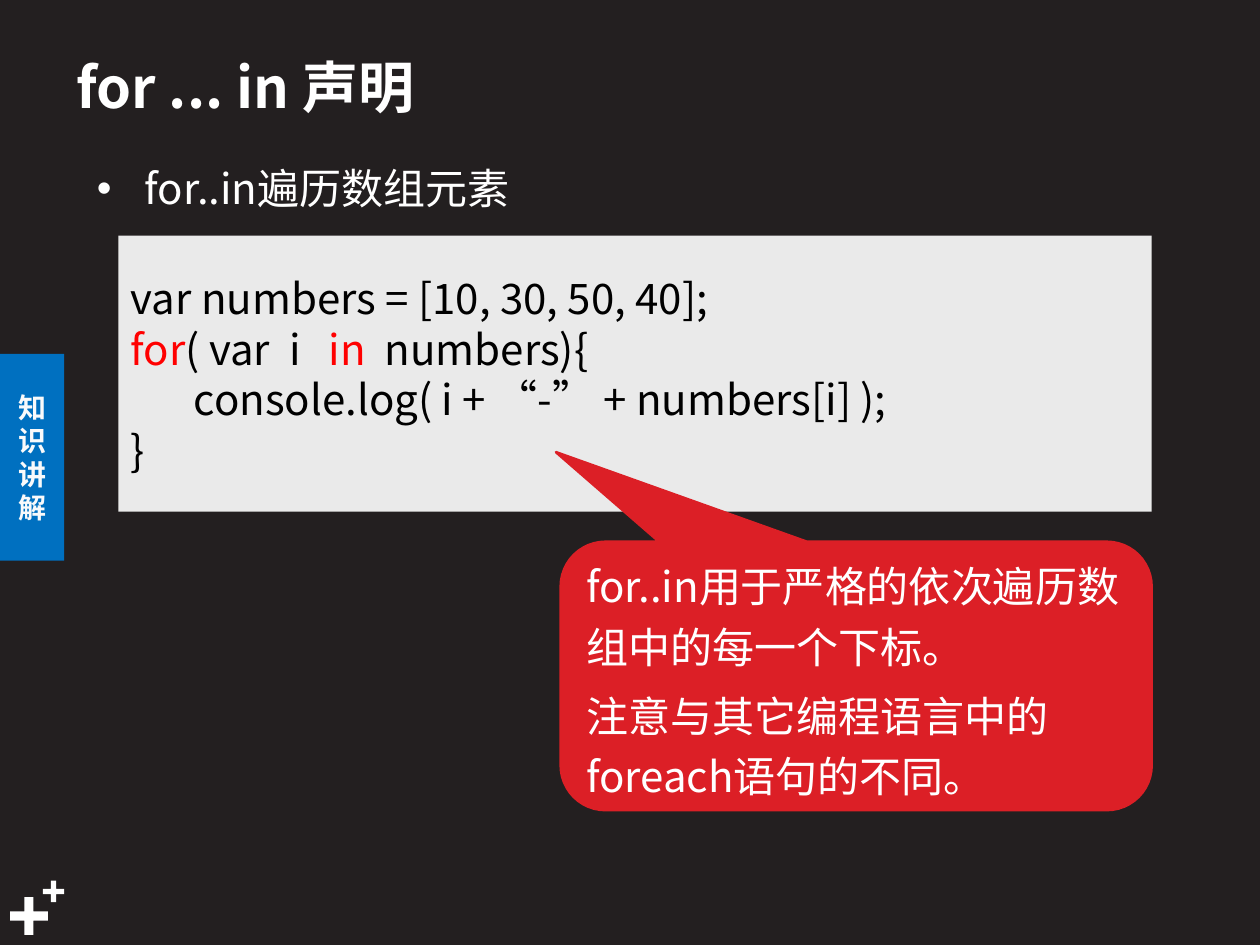
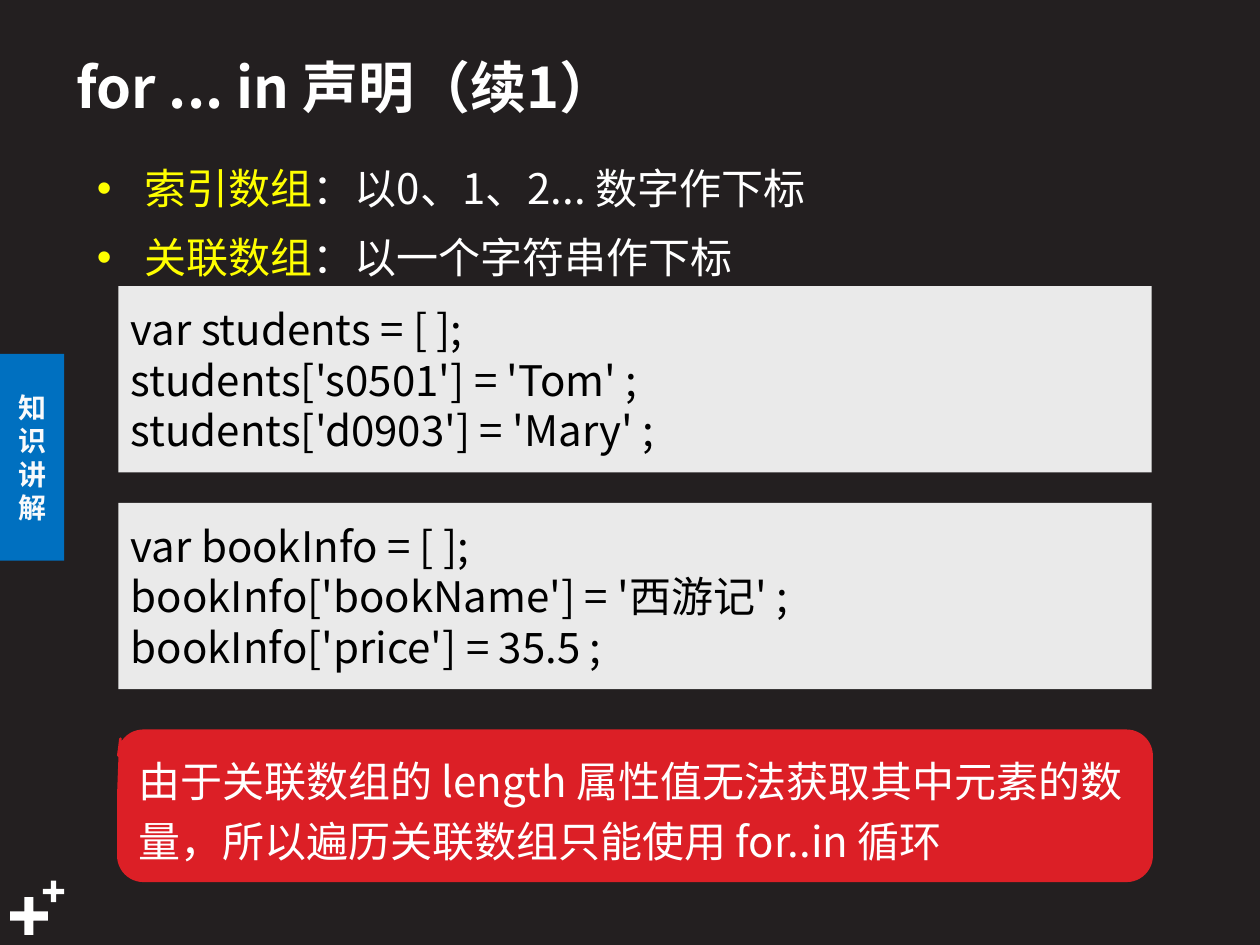
"""Builds two lesson slides on the for...in statement."""
from lxml import etree
from pptx import Presentation
from pptx import util as u
from pptx.dml.color import RGBColor
from pptx.enum import shapes, text
from pptx.oxml.ns import qn

FONT = "Noto Sans CJK SC"
COLORS = {
    "back": "231F20", "white": "FFFFFF", "tab": "0070C0", "tab_text": "F9FAFB",
    "panel": "EAEAEA", "code": "000000", "keyword": "FF0000",
    "note": "DC1F26", "term": "FFFF00",
}
LEFT, WIDTH = 0.94, 8.2


def rgb(name):
    return RGBColor.from_string(COLORS[name])


def write(sp, paragraphs, color="white", size=24, bold=False, center=False,
          anchor="MIDDLE", leading=None, before=0, bullet=False):
    """Fill a shape with paragraphs, each a string or a list of (text, color)."""
    tf = sp.text_frame
    tf.word_wrap = True
    tf.vertical_anchor = getattr(text.MSO_ANCHOR, anchor)
    for i, runs in enumerate(paragraphs):
        p = tf.paragraphs[0] if i == 0 else tf.add_paragraph()
        p.alignment = text.PP_ALIGN.CENTER if center else text.PP_ALIGN.LEFT
        p.space_before = u.Pt(before)
        if leading:
            p.line_spacing = leading
        if bullet:
            add_bullet(p)
        for words, tint in [(runs, color)] if isinstance(runs, str) else runs:
            r = p.add_run()
            r.text = words
            r.font.name = FONT
            r.font.size = u.Pt(size)
            r.font.bold = bold
            r.font.color.rgb = rgb(tint)
            ea = etree.SubElement(r.font._element, qn("a:ea"))
            ea.set("typeface", FONT)


def add_bullet(p):
    pPr = p._p.get_or_add_pPr()
    indent = u.Inches(0.38)
    pPr.set("marL", str(indent))
    pPr.set("indent", str(-indent))
    etree.SubElement(pPr, qn("a:buFont")).set("typeface", "Arial")
    etree.SubElement(pPr, qn("a:buChar")).set("char", "•")


def add_box(s, kind, at, fill, adj=(), line=None):
    """Add a flat preset shape."""
    sp = s.shapes.add_shape(getattr(shapes.MSO_SHAPE, kind), *map(u.Inches, at))
    sp.shadow.inherit = False
    sp.fill.solid()
    sp.fill.fore_color.rgb = rgb(fill)
    for i, value in enumerate(adj):
        sp.adjustments[i] = value
    if line:
        sp.line.color.rgb = rgb(fill)
        sp.line.width = u.Pt(line)
    else:
        sp.line.fill.background()
    return sp


def add_text(s, at, paragraphs, **fmt):
    write(s.shapes.add_textbox(*map(u.Inches, at)), paragraphs, **fmt)


def add_code(s, top, height, lines):
    sp = add_box(s, "RECTANGLE", (LEFT, top, WIDTH, height), "panel")
    write(sp, lines, color="code")


def add_note(s, at, pointer, paragraphs):
    sp = add_box(s, "ROUNDED_RECTANGULAR_CALLOUT", at, "note",
                 adj=(*pointer, 0.167), line=1.5)
    write(sp, paragraphs, leading=1.2, before=5)


def add_slide(prs, title, points):
    """Add a slide with the shared background, plus signs, side tab and heads."""
    s = prs.slides.add_slide(prs.slide_layouts[6])
    s.background.fill.solid()
    s.background.fill.fore_color.rgb = rgb("back")
    for left, top, side in ((0.08, 7.12, 0.3), (0.34, 6.99, 0.17)):
        add_box(s, "CROSS", (left, top, side, side), "white", adj=(0.378,))
    tab = add_box(s, "RECTANGLE", (0, 2.81, 0.51, 1.64), "tab")
    write(tab, ["知识讲解"], color="tab_text", size=16, bold=True, center=True)
    add_text(s, (0.51, 0.29, 7.4, 0.78), [title], size=32, bold=True)
    add_text(s, (0.67, 1.16, 8.82, 0.54 * len(points)), points, anchor="TOP",
             leading=1.2, before=5, bullet=True)
    return s


def build_loop(prs):
    s = add_slide(prs, "for ... in 声明", ["for..in遍历数组元素"])
    add_code(s, 1.87, 2.19, [
        "var numbers = [10, 30, 50, 40];",
        [("for", "keyword"), ("( var  i   ", "code"),
         ("in", "keyword"), ("  numbers){", "code")],
        "\tconsole.log( i + “-” + numbers[i] );",
        "}",
    ])
    add_note(s, (4.45, 4.3, 4.69, 2.13), (-0.508, -0.834), [
        "for..in用于严格的依次遍历数组中的每一个下标。",
        "注意与其它编程语言中的foreach语句的不同。",
    ])


def build_arrays(prs):
    s = add_slide(prs, "for ... in 声明（续1）", [
        [("索引数组", "term"), ("：以0、1、2... 数字作下标", "white")],
        [("关联数组", "term"), ("：以一个字符串作下标", "white")],
    ])
    add_code(s, 2.27, 1.48, [
        "var students = [ ];",
        "students['s0501'] = 'Tom' ;",
        "students['d0903'] = 'Mary' ;",
    ])
    add_note(s, (LEFT, 5.8, WIDTH, 1.19), (-0.498, -0.447), [
        "由于关联数组的 length 属性值无法获取其中元素的数量，"
        "所以遍历关联数组只能使用 for..in 循环",
    ])
    add_code(s, 3.99, 1.48, [
        "var bookInfo = [ ];",
        "bookInfo['bookName'] = '西游记' ;",
        "bookInfo['price'] = 35.5 ;",
    ])


def main():
    prs = Presentation()
    prs.slide_width, prs.slide_height = u.Inches(10), u.Inches(7.5)
    build_loop(prs)
    build_arrays(prs)
    prs.save("out.pptx")


main()
